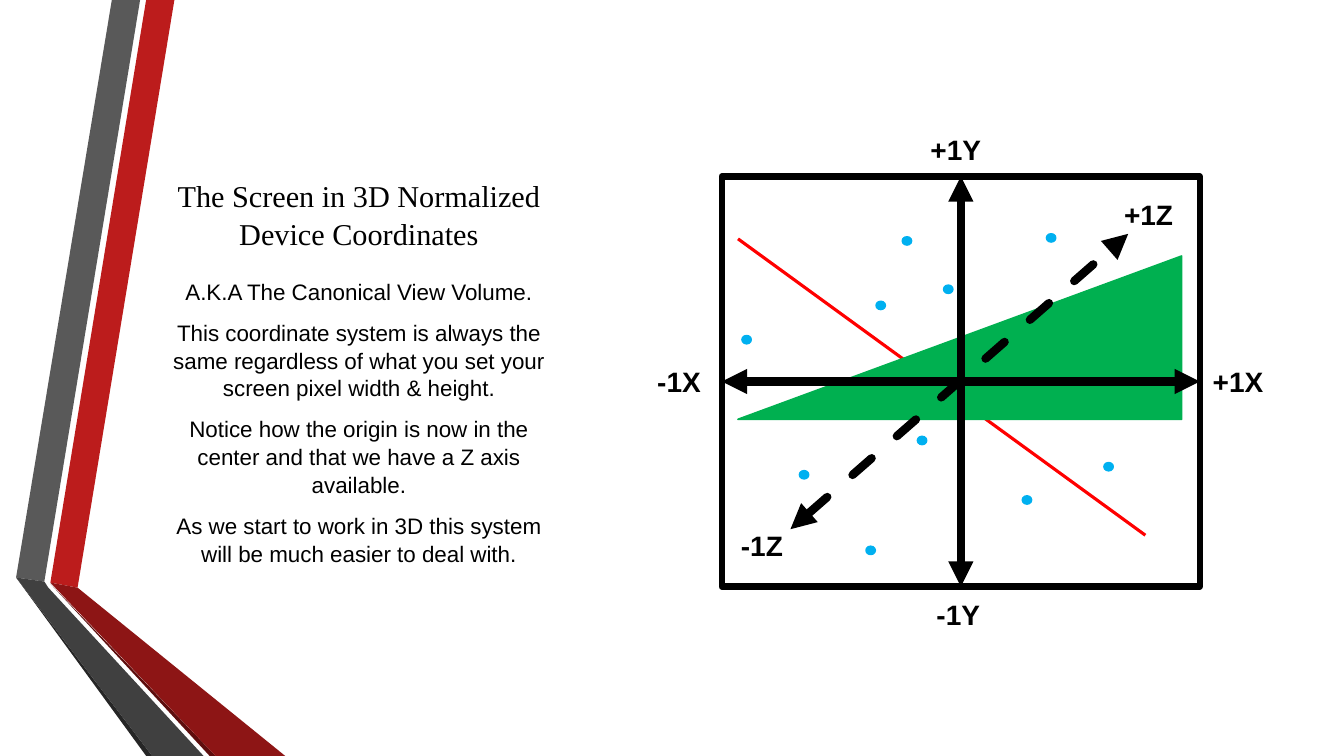
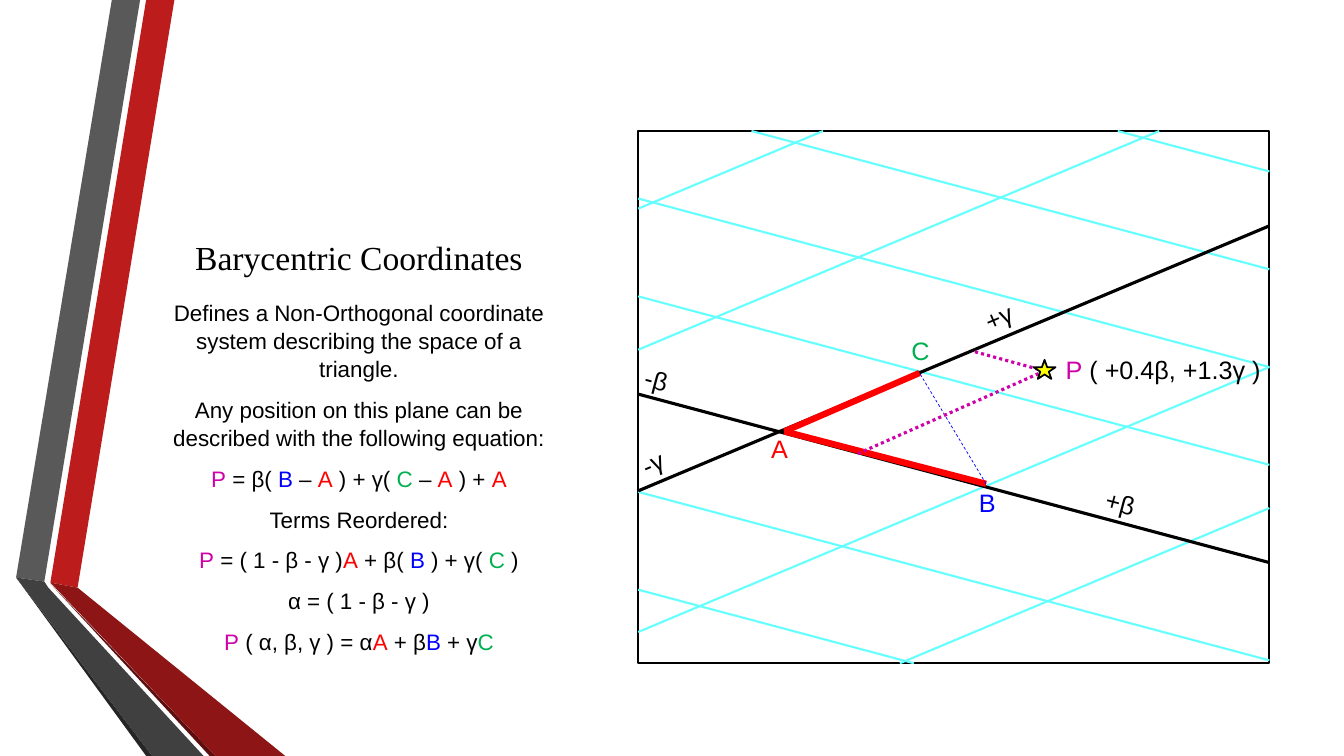
from itertools import groupby

from lxml import etree
from pptx import Presentation
from pptx import util as u
from pptx.dml.color import RGBColor
from pptx.enum import dml, shapes, text
from pptx.oxml.ns import qn

COLORS = {
    "black": "000000", "white": "FFFFFF", "red": "FF0000", "blue": "0000FF",
    "green": "00B050", "sky": "00B0F0", "cyan": "66FFFF", "magenta": "CF01A8",
    "yellow": "FFFF00", "band_red": "BC1C1C", "band_gray": "595959",
    "edge_gray": "262626", "edge_red": "5E0E0E", "fold_red": "8D1515",
    "fold_gray": "404040",
}
POINT_COLORS = {"A": "red", "B": "blue", "C": "green", "P": "magenta"}
BODY_FONT, TITLE_FONT = "Arial", "Times New Roman"
COLUMN_LEFT, COLUMN_WIDTH = 1.62, 3.88
LINE_SPACING = 1.04

# Folded ribbon on the left edge, back to front
RIBBON = [
    ("band_red", [(0.5, 5.78), (0.77, 5.83), (1.73, 0), (1.45, 0)]),
    ("band_gray", [(1.39, 0), (1.11, 0), (0.16, 5.73), (0.44, 5.77)]),
    ("edge_gray", [(0.16, 5.73), (1.45, 7.5), (1.51, 7.5)]),
    ("edge_red", [(0.5, 5.79), (2.08, 7.5), (2.14, 7.5)]),
    ("fold_red", [(0.5, 5.78), (2.14, 7.5), (2.83, 7.5), (0.77, 5.83)]),
    ("fold_gray", [(2.02, 7.5), (0.48, 5.83), (0.44, 5.77), (0.16, 5.73), (1.51, 7.5)]),
]


def rgb(name):
    return RGBColor.from_string(COLORS[name])


def inches(*values):
    return [u.Inches(value) for value in values]


# Shared elements
def add_ribbon_to_master(presentation, slide):
    group = slide.shapes.add_group_shape()
    for color, points in RIBBON:
        start, *others = [inches(*point) for point in points]
        builder = group.shapes.build_freeform(*start)
        builder.add_line_segments(others, close=True)
        paint(builder.convert_to_shape(), fill=color)
    for number, properties in enumerate(group.element.iter(qn("p:cNvPr")), 101):
        properties.set("id", str(number))
    presentation.slide_master.shapes.element.append(group.element)


def paint(shape, fill=None, line=None, width=1.25):
    shape.shadow.inherit = False
    if fill:
        shape.fill.solid()
        shape.fill.fore_color.rgb = rgb(fill)
    else:
        shape.fill.background()
    if line:
        shape.line.color.rgb = rgb(line)
        shape.line.width = u.Pt(width)
    else:
        shape.line.fill.background()


def add_preset(slide, kind, box, **style):
    shape = slide.shapes.add_shape(kind, *inches(*box))
    paint(shape, **style)
    return shape


def add_line(slide, start, end, color, width, dash=None, arrows=False):
    line = slide.shapes.add_connector(
        shapes.MSO_CONNECTOR.STRAIGHT, *inches(*start, *end))
    line.line.color.rgb = rgb(color)
    line.line.width = u.Pt(width)
    if dash:
        line.line.dash_style = dash
    if arrows:
        outline = line.line._get_or_add_ln()
        outline.set("cap", "rnd" if dash else "flat")
        for tag in ("a:headEnd", "a:tailEnd"):
            etree.SubElement(outline, qn(tag), type="triangle")
    etree.SubElement(line.element.spPr, qn("a:effectLst"))
    return line


# Text
def add_runs(paragraph, runs, size, font=BODY_FONT, bold=False):
    for words, color in runs:
        run = paragraph.add_run()
        run.text = words
        run.font.name = font
        run.font.size = u.Pt(size)
        run.font.bold = bold
        run.font.color.rgb = rgb(color)


def plain(words, color="black"):
    return [(words, color)]


def formula(words):
    """Split a formula into runs, each point letter in its own colour."""
    pieces = groupby(words, key=lambda letter: POINT_COLORS.get(letter, "black"))
    return [("".join(letters), color) for color, letters in pieces]


def add_column_text(slide, top, height, paragraphs, anchor, size, font=BODY_FONT):
    box = slide.shapes.add_textbox(*inches(COLUMN_LEFT, top, COLUMN_WIDTH, height))
    frame = box.text_frame
    frame.word_wrap = True
    frame.margin_left = frame.margin_right = u.Inches(0.09)
    frame.vertical_anchor = anchor
    for index, runs in enumerate(paragraphs):
        paragraph = frame.add_paragraph() if index else frame.paragraphs[0]
        paragraph.alignment = text.PP_ALIGN.CENTER
        paragraph.line_spacing = LINE_SPACING
        if len(paragraphs) > 1:
            paragraph.space_before = u.Pt(3.2)
            paragraph.space_after = u.Pt(6)
        add_runs(paragraph, runs, size, font)


def add_title(slide, top, height, words, size):
    add_column_text(slide, top, height, [plain(words)],
                    text.MSO_ANCHOR.BOTTOM, size, TITLE_FONT)


def add_body(slide, top, height, paragraphs):
    add_column_text(slide, top, height, paragraphs, text.MSO_ANCHOR.MIDDLE, 16)


def add_label(slide, box, runs, size, bold=False, wrap=True, rotation=0):
    label = slide.shapes.add_textbox(*inches(*box))
    label.rotation = rotation
    label.text_frame.word_wrap = wrap
    add_runs(label.text_frame.paragraphs[0], runs, size, bold=bold)


# Slide 1: the view volume
def build_view_volume(slide):
    add_title(slide, 1.75, 0.79, "The Screen in 3D Normalized Device Coordinates", 21.6)
    add_body(slide, 2.54, 3.29, [plain(words) for words in (
        "A.K.A The Canonical View Volume.",
        "This coordinate system is always the same regardless of what you set "
        "your screen pixel width & height.",
        "Notice how the origin is now in the center and that we have a Z axis available.",
        "As we start to work in 3D this system will be much easier to deal with.",
    )])

    # Scene: a line, points and a triangle
    screen = add_preset(slide, shapes.MSO_SHAPE.RECTANGLE, (7.16, 1.75, 4.74, 4.07),
                        line="black", width=4.5)
    add_line(slide, (7.32, 2.37), (11.36, 5.31), "red", 2.25)
    for left, top in [(7.36, 3.33), (8.69, 2.99), (8.95, 2.35), (9.36, 2.83),
                      (10.38, 2.32), (7.93, 4.67), (9.1, 4.33), (10.14, 4.92),
                      (10.95, 4.59), (8.59, 5.42)]:
        add_preset(slide, shapes.MSO_SHAPE.OVAL, (left, top, 0.09, 0.08),
                   fill="sky", line="sky")
    triangle = add_preset(slide, shapes.MSO_SHAPE.RIGHT_TRIANGLE, (7.32, 2.54, 4.4, 1.62),
                          fill="green", line="green")
    triangle.element.spPr.xfrm.set("flipH", "1")

    # Axes
    for start, end, sides in [((7.16, 3.79), (11.9, 3.79), (1, 3)),
                              ((9.53, 1.75), (9.53, 5.82), (0, 2))]:
        axis = add_line(slide, start, end, "black", 6, arrows=True)
        axis.begin_connect(screen, sides[0])
        axis.end_connect(screen, sides[1])
    add_line(slide, (7.84, 5.25), (11.19, 2.32), "black", 6,
             dash=dml.MSO_LINE.DASH, arrows=True)
    for words, left, top in [("+1Y", 9.13, 1.27), ("-1Y", 9.19, 5.88),
                             ("-1X", 6.42, 3.57), ("+1X", 11.93, 3.57),
                             ("-1Z", 7.25, 5.19), ("+1Z", 11.05, 1.91)]:
        add_label(slide, (left, top, 0.8, 0.44), plain(words), 20, bold=True)


# Slide 2: the skewed grid
PLOT_LEFT, PLOT_TOP, PLOT_WIDTH, PLOT_HEIGHT = 6.33, 1.3, 6.26, 5.28
# Axis height at the left edge, slope, gap between parallels, their numbers
BETA_LINES = (3.91, 0.267, 0.97, range(-4, 3))
GAMMA_LINES = (4.87, -0.42, 1.4, range(-2, 3))


def clip_to_plot(height, slope):
    """Return the ends of the line inside the plot, left end first."""
    crossings = sorted((edge - height) / slope
                       for edge in (PLOT_TOP, PLOT_TOP + PLOT_HEIGHT))
    reach = max(0, crossings[0]), min(PLOT_WIDTH, crossings[1])
    return [(PLOT_LEFT + x, height + slope * x) for x in reach]


def add_skewed_grid(slide):
    for axis, slope, gap, numbers in (BETA_LINES, GAMMA_LINES):
        for number in numbers:
            if number:
                add_line(slide, *clip_to_plot(axis + number * gap, slope), "cyan", 1.5)
    for axis, slope, *_ in (BETA_LINES, GAMMA_LINES):
        add_line(slide, *clip_to_plot(axis, slope), "black", 2.25)


def build_barycentric(slide):
    add_preset(slide, shapes.MSO_SHAPE.RECTANGLE,
               (PLOT_LEFT, PLOT_TOP, PLOT_WIDTH, PLOT_HEIGHT), fill="white", line="black")
    add_skewed_grid(slide)
    add_title(slide, 1.3, 1.5, "Barycentric Coordinates", 24)
    add_body(slide, 2.91, 3.64, [
        plain("Defines a Non-Orthogonal coordinate system describing the space of a triangle."),
        plain("Any position on this plane can be described with the following equation:"),
        formula("P = β( B – A ) + γ( C – A ) + A"),
        plain("Terms Reordered:"),
        formula("P = ( 1 - β - γ )A + β( B ) + γ( C )"),
        formula("α = ( 1 - β - γ )"),
        formula("P ( α, β, γ ) = αA + βB + γC"),
    ])

    # Triangle ABC
    corner_a, corner_b, corner_c = (7.78, 4.28), (9.78, 4.8), (9.12, 3.7)
    add_line(slide, corner_a, corner_c, "red", 4.5)
    add_line(slide, corner_a, corner_b, "red", 4.5)
    add_line(slide, corner_b, corner_c, "blue", 0.5, dash=dml.MSO_LINE.DASH)
    for name, left, top in [("A", 7.55, 4.25), ("B", 9.61, 4.79), ("C", 8.94, 3.28)]:
        add_label(slide, (left, top, 0.37, 0.4), formula(name), 18, wrap=False)

    # Axis names
    for words, left, top, width, rotation in [
            ("+β", 10.87, 4.79, 0.49, 14.9), ("-β", 6.3, 3.57, 0.43, 14.9),
            ("+γ", 9.67, 2.94, 0.48, 337.2), ("-γ", 6.27, 4.39, 0.41, 337.2)]:
        add_label(slide, (left, top, width, 0.4), plain(words), 18,
                  wrap=False, rotation=rotation)

    # Point P
    add_label(slide, (10.47, 3.47, 2.35, 0.4), formula("P ( +0.4β, +1.3γ )"), 18)
    for foot in [(9.67, 3.49), (8.51, 4.5)]:
        add_line(slide, foot, (10.36, 3.68), "magenta", 2.25, dash=dml.MSO_LINE.ROUND_DOT)
    add_preset(slide, shapes.MSO_SHAPE.STAR_5_POINT, (10.25, 3.57, 0.22, 0.19),
               fill="yellow", line="black")


def main():
    presentation = Presentation()
    presentation.slide_width, presentation.slide_height = inches(13.33, 7.5)
    blank = presentation.slide_layouts[6]
    slides = [presentation.slides.add_slide(blank) for _ in range(2)]
    add_ribbon_to_master(presentation, slides[0])
    build_view_volume(slides[0])
    build_barycentric(slides[1])
    presentation.save("out.pptx")


if __name__ == "__main__":
    main()
